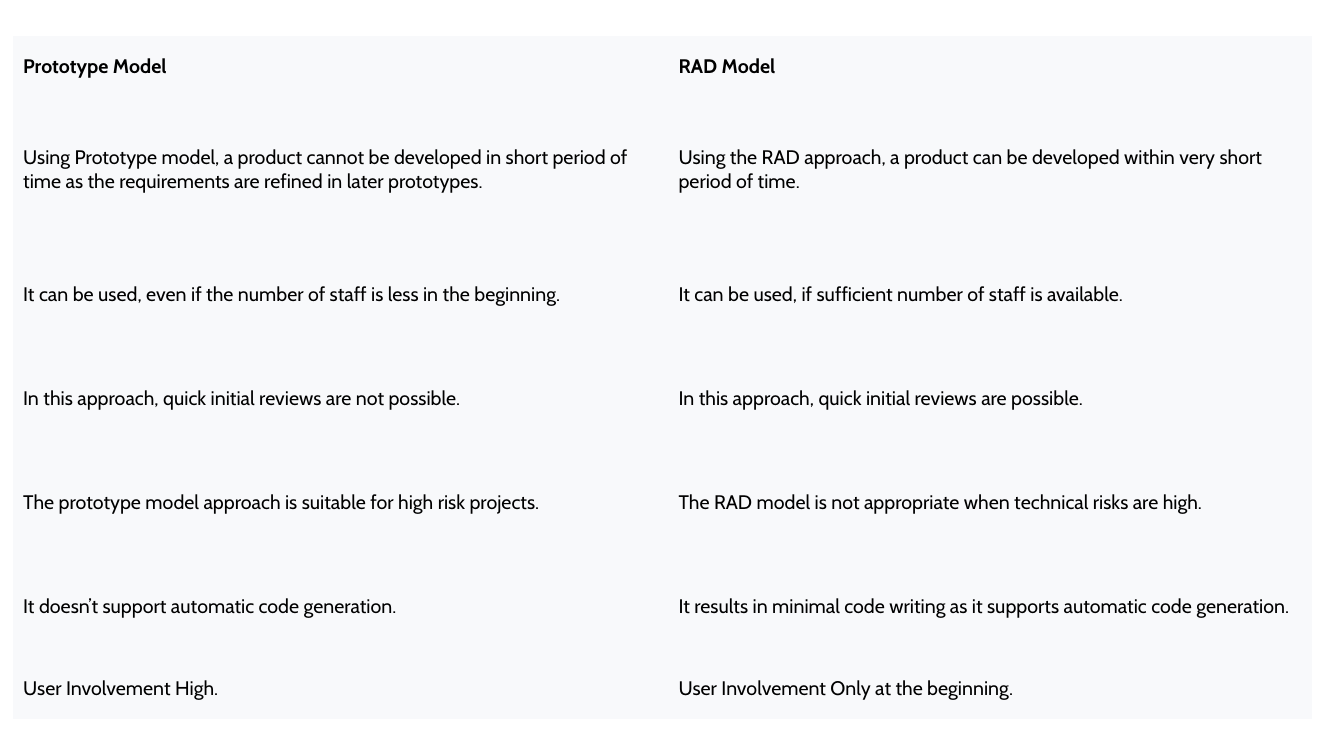
from pptx import Presentation
from pptx.dml.color import RGBColor
from pptx.enum.text import MSO_ANCHOR
from pptx.util import Inches, Pt

MIDDLE = MSO_ANCHOR.MIDDLE
NO_STYLE_NO_GRID = "{2D5ABB26-0587-4C30-8999-92F81FD0307C}"
COLORS = {"cell": "F8F9FB", "text": "000000"}

COLUMN_WIDTHS = [6.5, 6.38]
ROW_HEIGHTS = [0.6, 1.45] + [1.03] * 4 + [0.6]
COMPARISON = [
    ("Prototype Model", "RAD Model"),
    ("Using Prototype model, a product cannot be developed in short period of "
     "time as the requirements are refined in later prototypes.",
     "Using the RAD approach, a product can be developed within very short "
     "period of time."),
    ("It can be used, even if the number of staff is less in the beginning.",
     "It can be used, if sufficient number of staff is available."),
    ("In this approach, quick initial reviews are not possible.",
     "In this approach, quick initial reviews are possible."),
    ("The prototype model approach is suitable for high risk projects.",
     "The RAD model is not appropriate when technical risks are high."),
    ("It doesn’t support automatic code generation.",
     "It results in minimal code writing as it supports automatic code generation."),
    ("User Involvement High.", "User Involvement Only at the beginning."),
]


class SlideBuilder:
    font = "Cabin"
    size = 14

    def __init__(self, slide):
        self.s = slide

    def table(self, left, top, widths, heights, rows):
        """Add a borderless table whose first row is bold."""
        frame = self.s.shapes.add_table(
            len(heights), len(widths), Inches(left), Inches(top),
            Inches(sum(widths)), Inches(sum(heights)))
        table = frame.table
        table.horz_banding = False
        # The table style sets the grid lines and has no public setter.
        table._tbl.tblPr[0].text = NO_STYLE_NO_GRID
        for column, width in zip(table.columns, widths):
            column.width = Inches(width)
        for i, (row, height, texts) in enumerate(zip(table.rows, heights, rows)):
            row.height = Inches(height)
            for cell, text in zip(row.cells, texts):
                self.fill_cell(cell, text, bold=i == 0)

    def fill_cell(self, cell, text, bold):
        cell.fill.solid()
        cell.fill.fore_color.rgb = RGBColor.from_string(COLORS["cell"])
        cell.vertical_anchor = MIDDLE
        cell.text = text
        font = cell.text_frame.paragraphs[0].font
        font.name = self.font
        font.size = Pt(self.size)
        font.bold = bold
        font.color.rgb = RGBColor.from_string(COLORS["text"])


def main():
    prs = Presentation()
    prs.slide_width, prs.slide_height = Inches(13.33), Inches(7.5)
    builder = SlideBuilder(prs.slides.add_slide(prs.slide_layouts[6]))
    builder.table(0.13, 0.36, COLUMN_WIDTHS, ROW_HEIGHTS, COMPARISON)
    prs.save("out.pptx")


if __name__ == "__main__":
    main()
